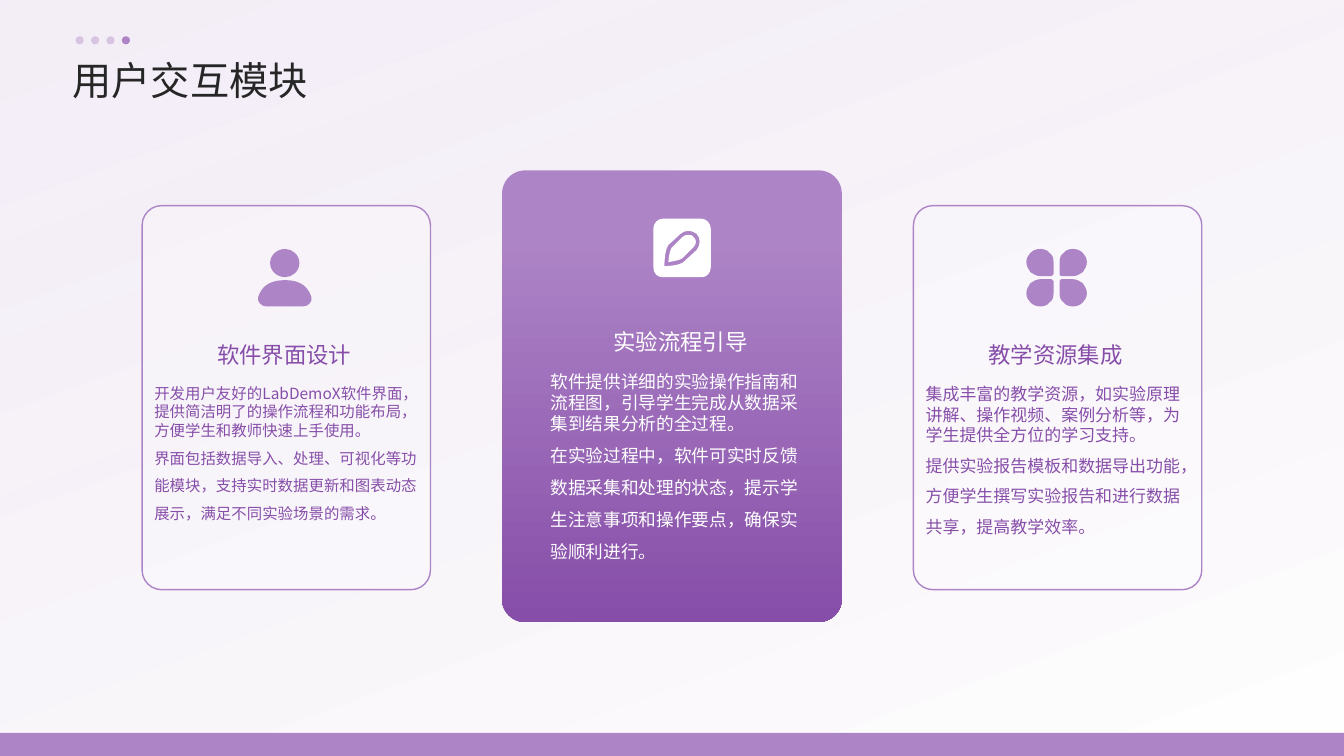
from pptx import Presentation
from pptx import util as u
from pptx.dml.color import RGBColor
from pptx.enum import shapes, text
from pptx.oxml.ns import qn

FONT = "Noto Sans CJK SC"
COLORS = {"mist": "EFE6F4", "white": "FFFFFF", "lilac": "AD84C6",
          "violet": "874EA9", "ink": "262626"}
SHAPE = shapes.MSO_SHAPE

HEAD = [(27, 0), (34, 0, 41, 6, 41, 14), (41, 22, 34, 28, 27, 28),
        (19, 28, 12, 22, 12, 14), (12, 6, 19, 0, 27, 0)]
BODY = [(27, 31), (44, 31, 50, 39, 53, 48), (54, 52, 50, 57, 45, 57), (8, 57),
        (3, 57, -1, 52, 0, 48), (3, 39, 9, 31, 27, 31)]
FRAME = [(9, 0), (48, 0), (53, 0, 57, 5, 57, 10), (57, 48),
         (57, 54, 53, 58, 48, 58), (9, 58), (4, 58, 0, 54, 0, 48), (0, 10),
         (0, 5, 4, 0, 9, 0)]
PEN_OUTER = [(35, 12), (32, 12, 29, 13, 27, 15), (15, 26),
             (11, 31, 11, 47, 11, 47), (11, 47, 27, 47, 31, 42), (43, 31),
             (47, 26, 47, 19, 43, 15), (40, 13, 38, 12, 35, 12)]
PEN_INNER = [(35, 16), (37, 16, 39, 16, 40, 18), (43, 21, 43, 25, 40, 28),
             (29, 39), (27, 41, 21, 42, 15, 43), (15, 37, 17, 31, 18, 29),
             (29, 18), (31, 16, 33, 16, 35, 16)]
PETAL = [(5, 1.5), (16, 1.5), (20, 1.5, 23, 3.5, 26, 5.5),
         (28, 8.5, 30, 11.5, 30, 15.5), (30, 19.5, 28, 22.5, 26, 24.5),
         (23, 27.5, 20, 28.5, 16, 28.5), (13, 28.5, 9, 27.5, 7, 24.5),
         (4, 22.5, 3, 19.5, 3, 15.5), (3, 3.5), (3, 2.5, 4, 1.5, 5, 1.5)]


def rgb(name):
    """Return the named colour."""
    return RGBColor.from_string(COLORS[name])


def set_alpha(sp, *percents):
    """Set the opacity of each fill colour of a shape in turn."""
    for clr, percent in zip(sp._element.spPr.iter(qn("a:srgbClr")), percents):
        clr.append(clr.makeelement(qn("a:alpha"), {"val": str(percent * 1000)}))


def paint(sp, color, alpha=None, line=None):
    """Give a shape a solid fill and an optional outline."""
    sp.shadow.inherit = False
    sp.fill.solid()
    sp.fill.fore_color.rgb = rgb(color)
    if alpha is not None:
        set_alpha(sp, alpha)
    if line:
        sp.line.color.rgb = rgb(line)
        sp.line.width = u.Pt(1)
    else:
        sp.line.fill.background()


def paint_gradient(sp, angle, stops):
    """Give a shape a two-colour gradient at a clockwise angle."""
    sp.shadow.inherit = False
    sp.line.fill.background()
    sp.fill.gradient()
    sp.fill.gradient_angle = 360 - angle
    for stop, (position, color) in zip(sp.fill.gradient_stops, stops):
        stop.position = position
        stop.color.rgb = rgb(color)


def add_box(parent, kind, x, y, w, h):
    """Add a preset shape measured in inches."""
    return parent.add_shape(kind, *map(u.Inches, (x, y, w, h)))


def add_text(s, box, paragraphs, size, color, spacings, align=None, anchor=None):
    """Add a wrapped text box with one line spacing per paragraph."""
    tf = s.shapes.add_textbox(*map(u.Inches, box)).text_frame
    tf.word_wrap = True
    tf.margin_left = tf.margin_right = tf.margin_top = tf.margin_bottom = 0
    tf.vertical_anchor = anchor or text.MSO_ANCHOR.TOP
    for i, (words, spacing) in enumerate(zip(paragraphs, spacings)):
        p = tf.add_paragraph() if i else tf.paragraphs[0]
        p.alignment = align
        p.line_spacing = spacing
        p._p.get_or_add_pPr().set("hangingPunct", str(min(i, 1)))
        r = p.add_run()
        r.text = words
        r.font.size = u.Pt(size)
        r.font.name = FONT
        r.font.color.rgb = rgb(color)
        ea = r._r.rPr.makeelement(qn("a:ea"), {"typeface": FONT})
        r._r.rPr.find(qn("a:latin")).addnext(ea)


def add_icon(s, x, y, outlines, color):
    """Draw outlines of lines and cubic curves, in hundredths of an inch."""
    placed = [[[(u.Inches(x + part[i] / 100), u.Inches(y + part[i + 1] / 100))
                for i in range(0, len(part), 2)] for part in outline]
              for outline in outlines]
    builder = s.shapes.build_freeform(*placed[0][0][0], scale=1.0)
    for i, (start, *parts) in enumerate(placed):
        if i:
            builder.move_to(*start[0])
        builder.add_line_segments([part[-1] for part in parts], close=True)
    sp = builder.convert_to_shape()
    segments = [part for outline in placed for part in outline[1:]]
    for line, part in zip(list(sp._element.iter(qn("a:lnTo"))), segments):
        if len(part) == 3:
            curve = line.makeelement(qn("a:cubicBezTo"), {})
            for px, py in part:
                curve.append(curve.makeelement(
                    qn("a:pt"), {"x": str(px - sp.left), "y": str(py - sp.top)}))
            line.getparent().replace(line, curve)
    paint(sp, color)


def petals():
    """Mirror one petal into the four quarters of a flower."""
    return [[tuple(v * (sx, sy)[i % 2] + (30, 28.5)[i % 2] for i, v in enumerate(part))
             for part in PETAL] for sx in (1, -1) for sy in (-1, 1)]


def add_card(s, box, inset, icon, icon_shift, icon_rise, title, body, size, main=False):
    """Draw a card with its icon, heading and two paragraphs."""
    x, y, w, h = box
    sp = add_box(s.shapes, SHAPE.ROUNDED_RECTANGLE, x, y, w, h)
    sp.adjustments[0] = 0.068
    if main:
        paint_gradient(sp, 90, [(0.15, "lilac"), (1, "violet")])
    else:
        paint(sp, "white", 20, "lilac")
    left, top = x + inset[0], y + inset[1]
    add_icon(s, left + icon_shift, top - icon_rise, icon, "white" if main else "lilac")
    color = "white" if main else "violet"
    add_text(s, (left - 0.03, top - 0.64, 2.64, 0.56), [title], 16, color, [1.5],
             text.PP_ALIGN.CENTER, text.MSO_ANCHOR.MIDDLE)
    add_text(s, (left, top, 2.62, 1.85), body, size, color, [1.0, 1.5])


def add_background(s, w, h):
    """Draw the tinted backdrop and the footer band."""
    sp = add_box(s.shapes, SHAPE.RECTANGLE, 0, 0, w, h)
    paint_gradient(sp, 70, [(0, "mist"), (1, "white")])
    set_alpha(sp, 67, 92)
    paint(add_box(s.shapes, SHAPE.RECTANGLE, -0.02, h - 0.23, w + 0.04, 0.23), "lilac")


def add_header(s, x, y, w):
    """Draw the slide title below a row of four dots."""
    add_text(s, (x, y + 0.15, w, 0.51), ["用户交互模块"], 28, "ink", [1.1],
             anchor=text.MSO_ANCHOR.MIDDLE)
    dots = s.shapes.add_group_shape().shapes
    for i in range(4):
        dot = add_box(dots, SHAPE.OVAL, x + 0.03 + i * 0.153, y, 0.08, 0.08)
        paint(dot, "lilac", None if i == 3 else 40)


def main():
    """Build and save the slide."""
    prs = Presentation()
    prs.slide_width, prs.slide_height = u.Inches(13.33), u.Inches(7.5)
    s = prs.slides.add_slide(prs.slide_layouts[6])
    add_background(s, 13.33, 7.5)
    add_card(s, (1.41, 2.04, 2.86, 3.81), (0.12, 1.77), [HEAD, BODY], 1.03, 1.34,
             "软件界面设计",
             ["开发用户友好的LabDemoX软件界面，提供简洁明了的操作流程和功能布局，方便学生和教师快速上手使用。",
              "界面包括数据导入、处理、可视化等功能模块，支持实时数据更新和图表动态展示，满足不同实验场景的需求。"], 11)
    add_card(s, (4.98, 1.69, 3.37, 4.48), (0.48, 1.99), [PEN_INNER, PEN_OUTER, FRAME],
             1.02, 1.51, "实验流程引导",
             ["软件提供详细的实验操作指南和流程图，引导学生完成从数据采集到结果分析的全过程。",
              "在实验过程中，软件可实时反馈数据采集和处理的状态，提示学生注意事项和操作要点，确保实验顺利进行。"],
             12.6, main=True)
    add_card(s, (9.06, 2.04, 2.86, 3.81), (0.12, 1.77), petals(), 1, 1.34,
             "教学资源集成",
             ["集成丰富的教学资源，如实验原理讲解、操作视频、案例分析等，为学生提供全方位的学习支持。",
              "提供实验报告模板和数据导出功能，方便学生撰写实验报告和进行数据共享，提高教学效率。"], 12.1)
    add_header(s, 0.72, 0.36, 11.88)
    prs.save("out.pptx")


if __name__ == "__main__":
    main()
